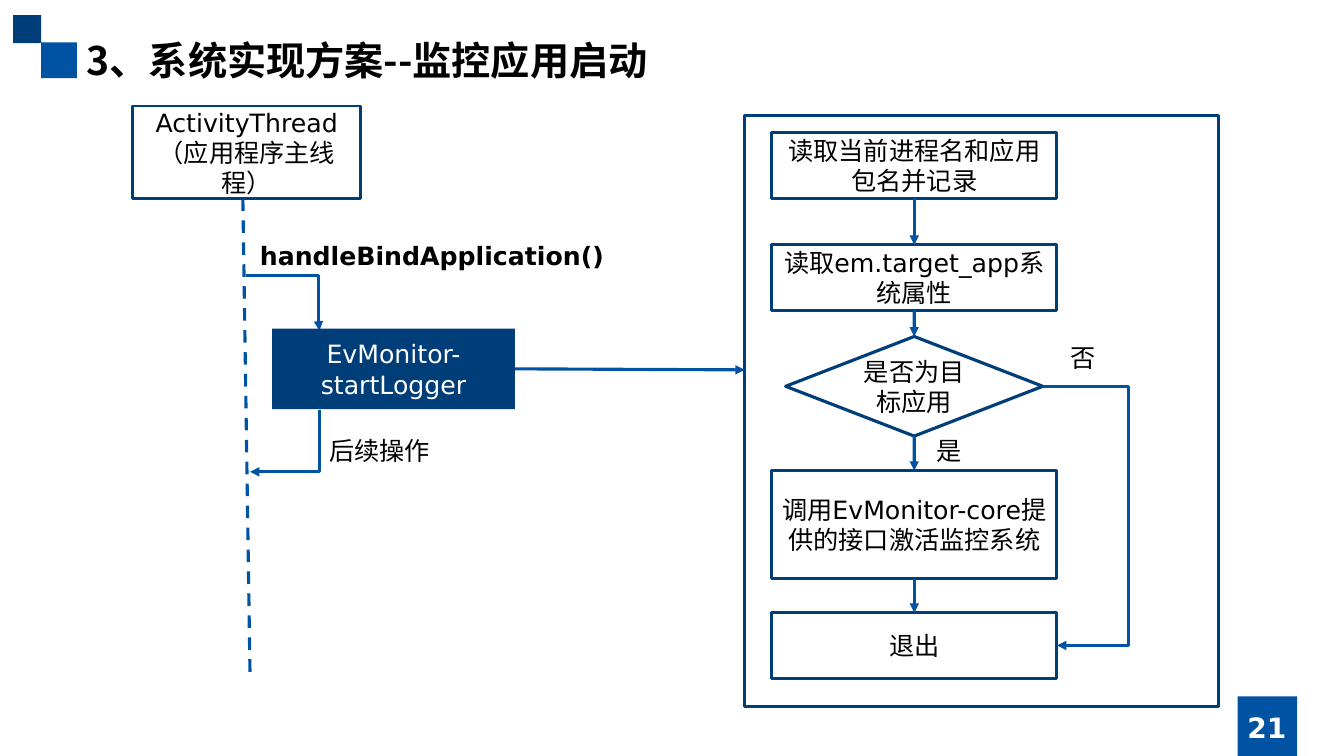
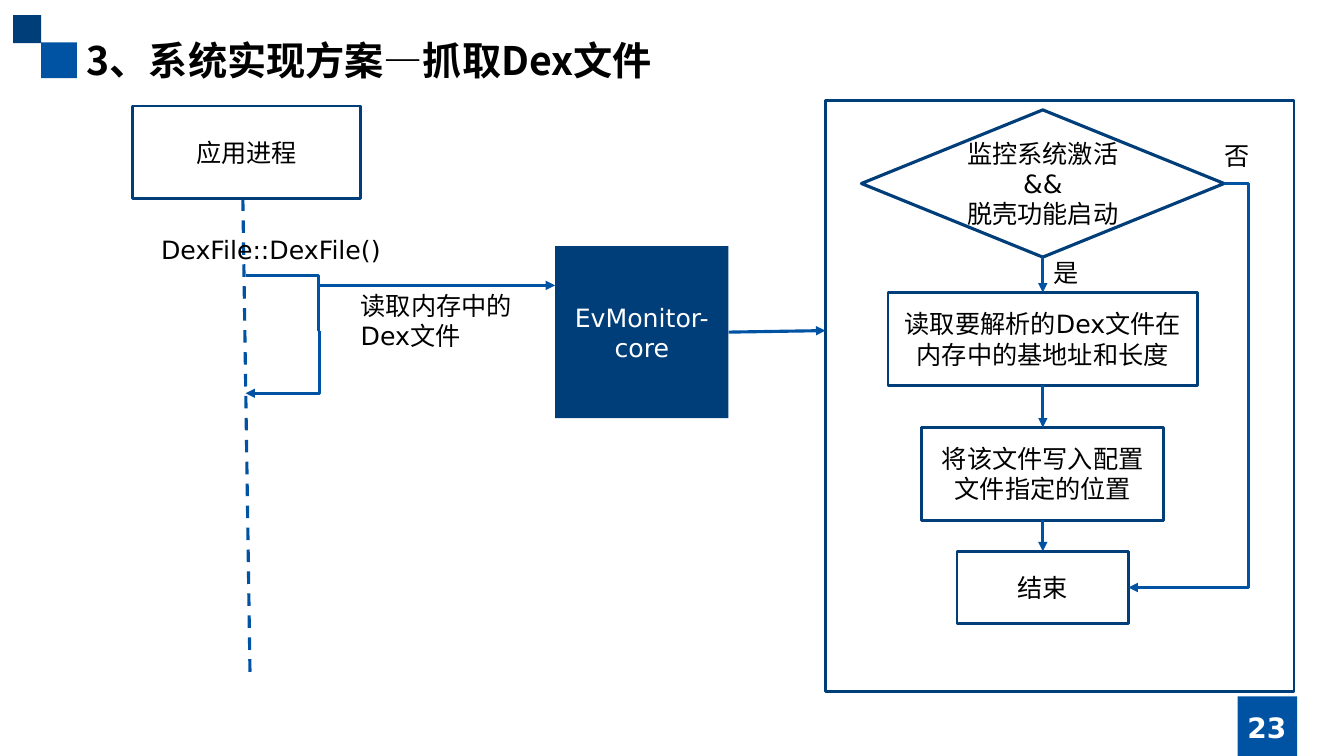
from dataclasses import dataclass

from lxml import etree
from pptx import Presentation
from pptx import util as u
from pptx.dml import color as dml_color
from pptx.enum import dml, shapes, text
from pptx.oxml import ns

NAVY, BLUE, WHITE, BLACK = "003E7A", "0053A3", "FFFFFF", "000000"
BODY_FONT, TITLE_FONT = "DejaVu Sans", "Noto Sans CJK SC"
RECT, DIAMOND = shapes.MSO_SHAPE.RECTANGLE, shapes.MSO_SHAPE.DIAMOND
TOP, LEFT, BOTTOM, RIGHT = range(4)


@dataclass
class Box:
    left: float
    top: float
    width: float
    height: float

    def inner(self, left, top, width, height):
        return Box(self.left + left, self.top + top, width, height)

    def point(self, x, y):
        return self.left + x, self.top + y

    def lengths(self):
        return [u.Cm(v) for v in (self.left, self.top, self.width, self.height)]


TITLE = Box(1.93, 0.79, 21.56, 1.45)
PAGE_NUMBER = Box(30, 17.81, 3.86, 1.02)
SEQUENCE = Box(3.35, 2.67, 5.74, 14.27)
CORNERS = [
    (Box(1.04, 1.07, 0.9, 0.9), BLUE),
    (Box(0.33, 0.38, 0.71, 0.71), NAVY),
    (Box(31.19, 17.55, 1.5, 1.5), BLUE),
]


def paint(target, hex_string):
    if hasattr(target, "solid"):
        target.solid()
        target = target.fore_color
    target.rgb = dml_color.RGBColor.from_string(hex_string)


def write(frame, lines, size=18, colour=BLACK, bold=False, font=BODY_FONT,
          align=text.PP_ALIGN.LEFT, anchor=text.MSO_ANCHOR.TOP, wrap=True):
    frame.word_wrap = wrap
    frame.auto_size = text.MSO_AUTO_SIZE.NONE
    frame.vertical_anchor = anchor
    for index, line in enumerate(lines):
        paragraph = frame.add_paragraph() if index else frame.paragraphs[0]
        paragraph.alignment = align
        run = paragraph.add_run()
        run.text = line
        run.font.size = u.Pt(size)
        run.font.bold = bold
        run.font.name = font
        paint(run.font.color, colour)
        east_asian = etree.SubElement(run.font._element, ns.qn("a:ea"))
        east_asian.set("typeface", TITLE_FONT)


def add_block(slide, box, lines=(), preset=RECT, fill=None, border=None,
              width=2, colour=BLACK):
    block = slide.shapes.add_shape(preset, *box.lengths())
    block.shadow.inherit = False
    if fill:
        paint(block.fill, fill)
    else:
        block.fill.background()
    if border:
        paint(block.line.fill, border)
        block.line.width = u.Pt(width)
    else:
        block.line.fill.background()
    write(block.text_frame, lines, colour=colour,
          align=text.PP_ALIGN.CENTER, anchor=text.MSO_ANCHOR.MIDDLE)
    return block


def add_label(slide, box, caption, **style):
    label = slide.shapes.add_textbox(*box.lengths())
    write(label.text_frame, [caption], **style)


def add_line(slide, start, end, via=None, arrow=True, dashed=False,
             begin=None, finish=None):
    kind = shapes.MSO_CONNECTOR.STRAIGHT if via is None else shapes.MSO_CONNECTOR.ELBOW
    line = slide.shapes.add_connector(kind, *[u.Cm(v) for v in (*start, *end)])
    if begin:
        line.begin_connect(*begin)
    if finish:
        line.end_connect(*finish)
    paint(line.line.fill, BLUE)
    line.line.width = u.Pt(2.25)
    if dashed:
        line.line.dash_style = dml.MSO_LINE.DASH
    properties = line.element.spPr
    if arrow:
        outline = properties.find(ns.qn("a:ln"))
        etree.SubElement(outline, ns.qn("a:tailEnd")).set("type", "triangle")
    if via is not None:
        adjustments = properties.find(ns.qn("a:prstGeom")).get_or_add_avLst()
        guide = etree.SubElement(adjustments, ns.qn("a:gd"))
        ratio = (via - start[0]) / (end[0] - start[0])
        guide.set("name", "adj1")
        guide.set("fmla", f"val {round(ratio * 100000)}")
    etree.SubElement(properties, ns.qn("a:effectLst"))


def add_page(deck, layout, heading, number):
    slide = deck.slides.add_slide(layout)
    title = slide.shapes.title
    title.left, title.top, title.width, title.height = TITLE.lengths()
    write(title.text_frame, [heading], size=28, bold=True, font=TITLE_FONT,
          anchor=text.MSO_ANCHOR.MIDDLE)
    add_label(slide, PAGE_NUMBER, number, size=20, bold=True, colour=WHITE,
              align=text.PP_ALIGN.CENTER, anchor=text.MSO_ANCHOR.MIDDLE)
    return slide


def decorate_layout(slide, layout):
    tree = layout.element.cSld.spTree
    for index, (box, colour) in enumerate(CORNERS):
        corner = add_block(slide, box, fill=colour)
        tree.insert(2 + index, corner.element)


def add_sequence(slide, box, actor, module, module_area, back_from, back_to,
                 call_arrow):
    add_line(slide, box.point(2.77, 2.33), box.point(2.95, box.height),
             arrow=False, dashed=True)
    add_block(slide, box.inner(0, 0, box.width, 2.34), actor, border=NAVY)
    turn = box.left + 4.68
    add_line(slide, box.point(2.84, 4.27), box.point(4.7, 5.66), via=turn,
             arrow=call_arrow)
    back_start = box.point(4.7, back_from)
    add_line(slide, back_start, box.point(*back_to), via=back_start[0])
    return add_block(slide, box.inner(*module_area), [module], fill=NAVY,
                     colour=WHITE)


def add_flow(slide, box, axis, steps, branch_x, no_at, yes_at):
    add_block(slide, box, border=NAVY)
    previous = None
    for preset, lines, top, width, height in steps:
        area = box.inner(axis - width / 2, top, width, height)
        is_choice = preset == DIAMOND
        step = add_block(slide, area, lines, preset, border=NAVY,
                         fill=WHITE if is_choice else None,
                         width=2.25 if is_choice else 2)
        if previous:
            add_line(slide, (0, 0), (0, 0), begin=(previous, BOTTOM),
                     finish=(step, TOP))
        side = (area.left + width, area.top + height / 2)
        if is_choice:
            choice_side = side
        previous = step
    add_line(slide, choice_side, side, via=box.left + branch_x)
    for caption, place in (("否", no_at), ("是", yes_at)):
        add_label(slide, box.inner(*place, 1.14, 1.02), caption, wrap=False)


def build_startup(deck, layout):
    slide = add_page(deck, layout, "3、系统实现方案--监控应用启动", "21")
    decorate_layout(slide, layout)
    logger = add_sequence(
        slide, SEQUENCE, ["ActivityThread", "（应用程序主线程）"],
        "EvMonitor-startLogger", (3.51, 5.61, 6.12, 2.03),
        7.65, (2.95, 9.22), True)
    add_label(slide, SEQUENCE.inner(2.95, 3.25, 9.32, 1.02),
              "handleBindApplication()", bold=True, wrap=False)
    add_label(slide, SEQUENCE.inner(4.7, 8.18, 3.07, 1.02), "后续操作", wrap=False)
    panel = Box(18.77, 2.92, 11.94, 14.88)
    add_flow(slide, panel, 4.27, [
        (RECT, ["读取当前进程名和应用包名并记录"], 0.43, 7.19, 1.65),
        (RECT, ["读取em.target_app系统属性"], 3.25, 7.19, 1.65),
        (DIAMOND, ["是否为目标应用"], 5.56, 6.48, 2.51),
        (RECT, ["调用EvMonitor-core提供的接口激活监控系统"], 8.94, 7.19, 2.72),
        (RECT, ["退出"], 12.52, 7.19, 1.65),
    ], 9.68, (7.95, 5.59), (4.57, 7.92))
    add_line(slide, (0, 0), panel.point(0, 6.4), begin=(logger, RIGHT))


def build_capture(deck, layout):
    slide = add_page(deck, layout, "3、系统实现方案—抓取Dex文件", "23")
    core = add_sequence(
        slide, SEQUENCE, ["应用进程"], "EvMonitor-core",
        (10.64, 3.53, 4.37, 4.34), 5.66, (2.84, 7.24), False)
    add_label(slide, SEQUENCE.inner(0.46, 3.12, 6.4, 1.02),
              "DexFile::DexFile()", wrap=False)
    add_line(slide, SEQUENCE.point(4.7, 4.52), SEQUENCE.point(10.64, 4.52))
    add_label(slide, SEQUENCE.inner(5.49, 4.52, 4.37, 1.8), "读取内存中的Dex文件")
    panel = Box(20.8, 2.54, 11.81, 14.88)
    add_flow(slide, panel, 5.48, [
        (DIAMOND, ["监控系统激活&&", "脱壳功能启动"], 0.23, 9.14, 3.71),
        (RECT, ["读取要解析的Dex文件在内存中的基地址和长度"], 4.83, 7.8, 2.34),
        (RECT, ["将该文件写入配置文件指定的位置"], 8.23, 6.1, 2.34),
        (RECT, ["结束"], 11.35, 4.32, 1.83),
    ], 10.67, (9.8, 0.86), (5.51, 3.81))
    add_line(slide, (0, 0), panel.point(0, 5.79), begin=(core, RIGHT))


def main():
    deck = Presentation()
    deck.slide_width, deck.slide_height = u.Cm(33.87), u.Cm(19.05)
    layout = deck.slide_layouts[5]
    build_startup(deck, layout)
    build_capture(deck, layout)
    deck.save("out.pptx")


if __name__ == "__main__":
    main()
